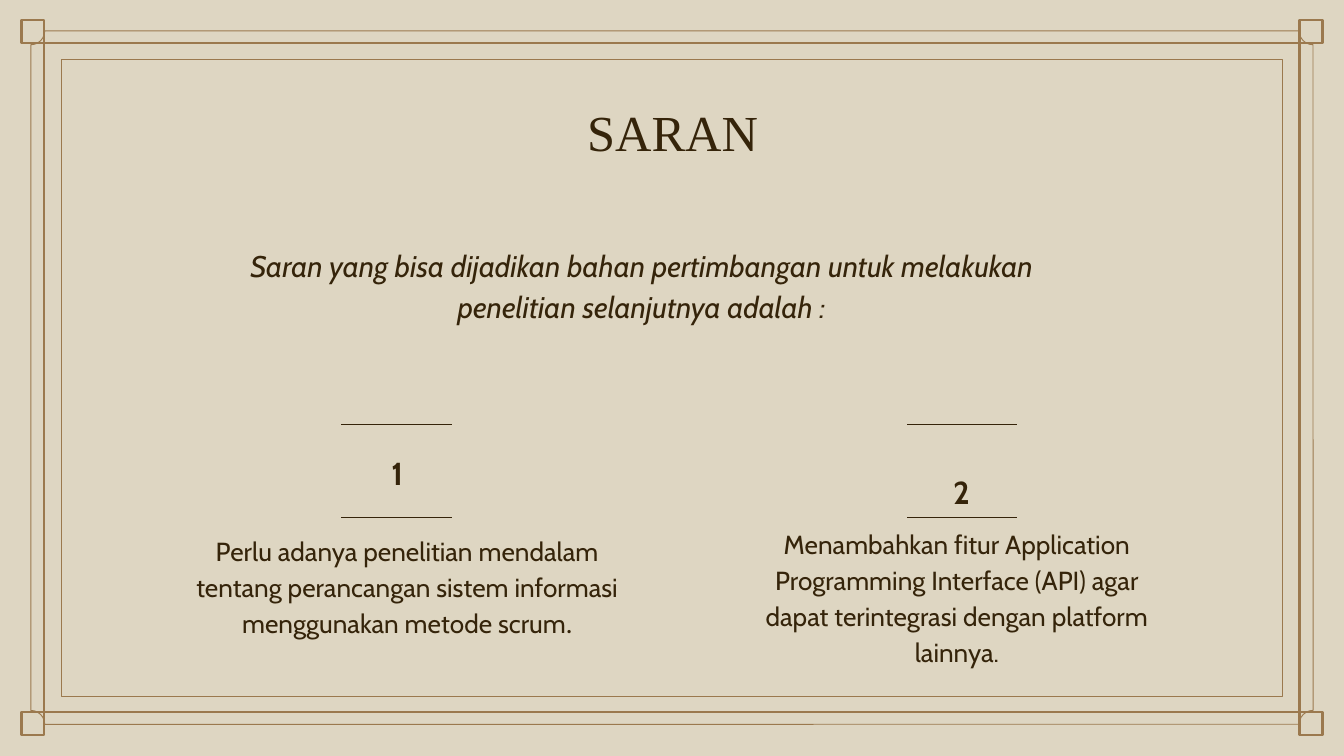
from dataclasses import dataclass

from lxml.etree import SubElement
from pptx import Presentation
from pptx.dml.color import RGBColor
from pptx.enum.shapes import MSO_CONNECTOR, MSO_SHAPE
from pptx.enum.text import MSO_ANCHOR, MSO_AUTO_SIZE, PP_ALIGN
from pptx.oxml.ns import qn
from pptx.util import Inches, Pt

BACKGROUND, BRONZE, BROWN = "DED6C2", "9B794E", "35240A"
TITLE = {"name": "Times New Roman", "size": Pt(27)}
INTRO = {"name": "Cabin", "size": Pt(16), "italic": True}
NUMBER = {"name": "Cabin", "size": Pt(17), "bold": True}
BODY = {"name": "Cabin", "size": Pt(14)}
BODY_STOP = BODY | {"name": "Lato"}


@dataclass
class Area:
    left: float
    top: float
    width: float
    height: float

    def lengths(self):
        return [Inches(value) for value in (self.left, self.top, self.width, self.height)]


@dataclass
class Suggestion:
    number: str
    number_area: Area
    spans: list
    body_area: Area
    rule_left: float


SUGGESTIONS = [
    Suggestion(
        "1",
        Area(1.18, 3.15, 3.55, 0.61),
        [
            ("Perlu adanya penelitian mendalam tentang perancangan sistem informasi "
             "menggunakan metode scrum", BODY),
            (".", BODY_STOP),
        ],
        Area(1.18, 3.85, 3.55, 1.25),
        2.54,
    ),
    Suggestion(
        "2",
        Area(5.38, 3.29, 3.55, 0.61),
        [
            ("Menambahkan fitur Application Programming Interface (API) agar dapat "
             "terintegrasi dengan platform lainnya.", BODY),
        ],
        Area(5.27, 3.8, 3.55, 1.17),
        6.75,
    ),
]


def color(value: str) -> RGBColor:
    return RGBColor.from_string(value)


def draw_outline(slide, area: Area, weight: float, kind=MSO_SHAPE.RECTANGLE):
    shape = slide.shapes.add_shape(kind, *area.lengths())
    shape.shadow.inherit = False
    shape.fill.background()
    shape.line.color.rgb = color(BRONZE)
    shape.line.width = Pt(weight)
    return shape


def draw_frame(slide) -> None:
    draw_outline(slide, Area(0.33, 0.32, 9.34, 4.98), 1.28)
    draw_outline(slide, Area(0.46, 0.44, 9.08, 4.74), 0.5)
    plaque = draw_outline(slide, Area(0.23, 0.23, 9.54, 5.16), 0.5, MSO_SHAPE.PLAQUE)
    plaque.adjustments[0] = 0.02
    for left in (0.16, 9.67):
        for top in (0.15, 5.3):
            draw_outline(slide, Area(left, top, 0.17, 0.17), 1.28)


def draw_rule(slide, left: float, top: float) -> None:
    ends = [Inches(value) for value in (left, top, left + 0.82, top)]
    rule = slide.shapes.add_connector(MSO_CONNECTOR.STRAIGHT, *ends)
    rule.line.color.rgb = color(BROWN)
    rule.line.width = Pt(0.75)
    SubElement(rule._element.spPr, qn("a:effectLst"))


def write_text(box, spans: list, anchor=MSO_ANCHOR.TOP, spacing=1.15, indent=0.0) -> None:
    frame = box.text_frame
    frame_format = {
        "word_wrap": True,
        "auto_size": MSO_AUTO_SIZE.NONE,
        "vertical_anchor": anchor,
        "margin_left": Inches(0.1),
        "margin_top": Inches(0.1),
        "margin_right": Inches(0.1),
        "margin_bottom": Inches(0.1),
    }
    for name, value in frame_format.items():
        setattr(frame, name, value)
    para = frame.paragraphs[0]
    para.alignment = PP_ALIGN.CENTER
    para.line_spacing = spacing
    para._p.get_or_add_pPr().set("marL", str(Inches(indent)))
    for text, font_format in spans:
        span = para.add_run()
        span.text = text
        span.font.color.rgb = color(BROWN)
        for name, value in font_format.items():
            setattr(span.font, name, value)


def add_text(slide, area: Area, spans: list, **layout) -> None:
    write_text(slide.shapes.add_textbox(*area.lengths()), spans, **layout)


def draw_suggestion(slide, item: Suggestion) -> None:
    add_text(slide, item.body_area, item.spans, indent=0.15)
    add_text(slide, item.number_area, [(item.number, NUMBER)], anchor=MSO_ANCHOR.BOTTOM)
    for top in (3.16, 3.85):
        draw_rule(slide, item.rule_left, top)


def main() -> None:
    """Build the suggestions slide."""
    deck = Presentation()
    deck.slide_width = Inches(10)
    deck.slide_height = deck.slide_width * 9 // 16
    page = deck.slides.add_slide(deck.slide_layouts[5])
    page.background.fill.solid()
    page.background.fill.fore_color.rgb = color(BACKGROUND)
    draw_frame(page)

    title = page.shapes.title
    title.left, title.top, title.width, title.height = Area(0.79, 0.65, 8.43, 0.63).lengths()
    write_text(title, [("SARAN", TITLE)], spacing=1.0)

    for item in SUGGESTIONS:
        draw_suggestion(page, item)
    intro = ("Saran yang bisa dijadikan bahan pertimbangan untuk melakukan "
             "penelitian selanjutnya adalah :")
    add_text(page, Area(1.35, 1.7, 6.7, 1.17), [(intro, INTRO)], indent=0.15)
    deck.save("out.pptx")


if __name__ == "__main__":
    main()
